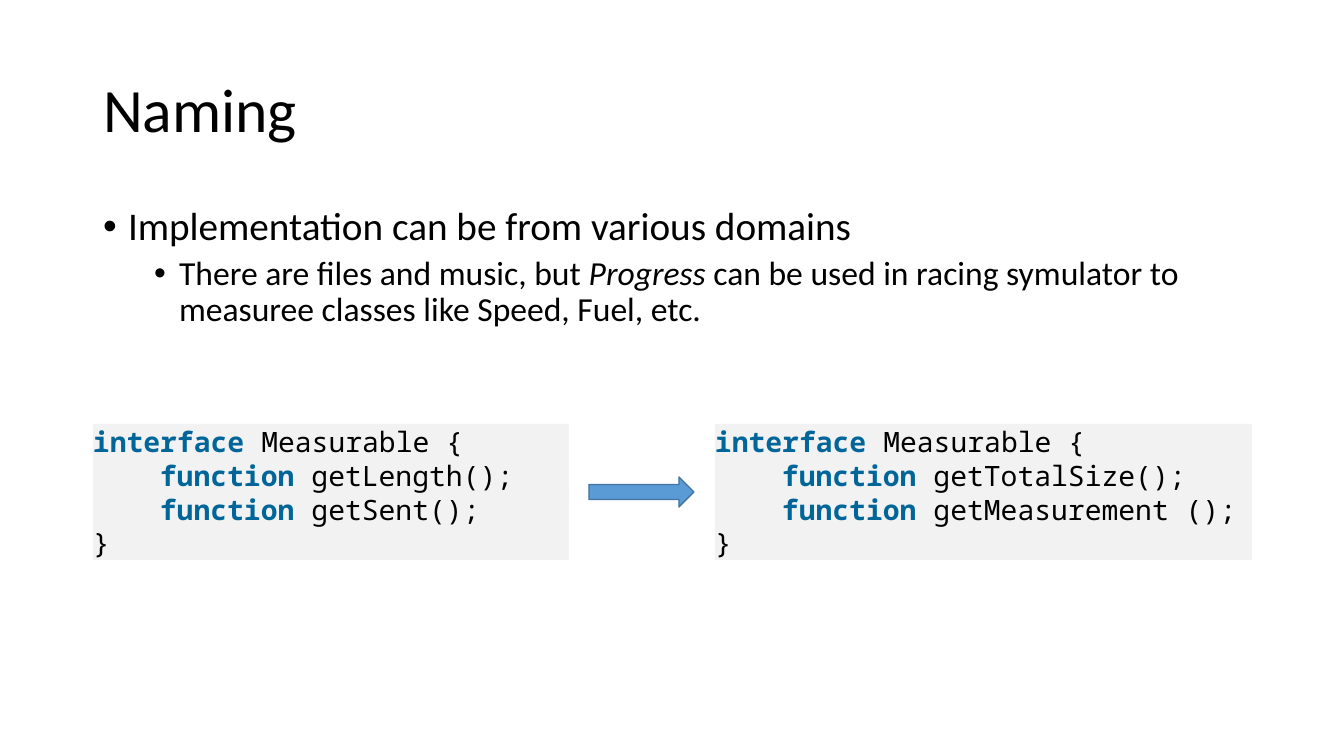
from lxml import etree
from pptx import Presentation
from pptx.dml.color import RGBColor
from pptx.enum.shapes import MSO_SHAPE
from pptx.enum.text import MSO_ANCHOR, MSO_AUTO_SIZE, PP_ALIGN
from pptx.oxml.ns import qn
from pptx.util import Pt

RECTANGLE, RIGHT_ARROW = MSO_SHAPE.RECTANGLE, MSO_SHAPE.RIGHT_ARROW
TOP, MIDDLE = MSO_ANCHOR.TOP, MSO_ANCHOR.MIDDLE
LEFT, NO_AUTOFIT = PP_ALIGN.LEFT, MSO_AUTO_SIZE.NONE
EMU_PER_PX = 914400 / 100.8
TEXT_FONT, CODE_FONT = "Calibri", "Noto Sans Mono"
COLOURS = {
    "text": "000000",
    "keyword": "006699",
    "code_box": "F2F2F2",
    "arrow": "5B9BD5",
    "arrow_line": "43739E",
}


def px(length):
    return round(length * EMU_PER_PX)


def add_run(paragraph, text, size, font, colour="text", bold=False, italic=False):
    run = paragraph.add_run()
    run.text = text
    run.font.name = font
    run.font.size = Pt(size)
    run.font.bold = bold
    run.font.italic = italic
    run.font.color.rgb = RGBColor.from_string(COLOURS[colour])


presentation = Presentation()
presentation.slide_width, presentation.slide_height = px(1344), px(756)
slide = presentation.slides.add_slide(presentation.slide_layouts[1])
title, body = slide.shapes.title, slide.placeholders[1]

# Title and list placeholders
for placeholder, top, height, anchor in ((title, 40, 146, MIDDLE), (body, 202, 480, TOP)):
    placeholder.left, placeholder.top = px(93), px(top)
    placeholder.width, placeholder.height = px(1159), px(height)
    placeholder.text_frame.vertical_anchor = anchor
    placeholder.text_frame.auto_size = NO_AUTOFIT
    placeholder.text_frame.word_wrap = True

heading = title.text_frame.paragraphs[0]
heading.alignment = LEFT
heading.line_spacing = 0.9
add_run(heading, "Naming", 44, TEXT_FONT)

# Each item: level, size, space before, left margin, (text, italic) runs
list_items = [
    (0, 28, 10, 25, [("Implementation can be from various domains", False)]),
    (1, 24, 5, 76, [
        ("There are files and music, but ", False),
        ("Progress ", True),
        ("can be used in racing symulator to measuree classes like Speed, Fuel, etc.", False),
    ]),
]
for index, (level, size, space_before, margin, runs) in enumerate(list_items):
    paragraph = body.text_frame.paragraphs[0] if index == 0 else body.text_frame.add_paragraph()
    paragraph.level = level
    paragraph.line_spacing = 0.9
    paragraph.space_before = Pt(space_before)
    properties = paragraph._p.get_or_add_pPr()
    properties.set("marL", str(px(margin)))
    properties.set("indent", str(px(-25)))
    etree.SubElement(properties, qn("a:buFont")).set("typeface", "Arial")
    etree.SubElement(properties, qn("a:buChar")).set("char", "•")
    for text, italic in runs:
        add_run(paragraph, text, size, TEXT_FONT, italic=italic)

# Code before and after renaming
code_boxes = [
    (93, 476, ["getLength();", "getSent();"]),
    (715, 537, ["getTotalSize();", "getMeasurement ();"]),
]
for left, width, methods in code_boxes:
    box = slide.shapes.add_shape(RECTANGLE, px(left), px(424), px(width), px(136))
    box.shadow.inherit = False
    box.fill.solid()
    box.fill.fore_color.rgb = RGBColor.from_string(COLOURS["code_box"])
    box.line.fill.background()
    frame = box.text_frame
    frame.margin_left = frame.margin_top = frame.margin_right = frame.margin_bottom = 0
    frame.vertical_anchor = MIDDLE
    frame.word_wrap = True
    code_lines = [(0, "interface ", "Measurable {")]
    code_lines += [(67, "function ", method) for method in methods]
    code_lines.append((0, "", "}"))
    for index, (indent, keyword, code) in enumerate(code_lines):
        paragraph = frame.paragraphs[0] if index == 0 else frame.add_paragraph()
        paragraph.alignment = LEFT
        paragraph.line_spacing = Pt(24)
        paragraph._p.get_or_add_pPr().set("marL", str(px(indent)))
        if keyword:
            add_run(paragraph, keyword, 20, CODE_FONT, "keyword", bold=True)
        add_run(paragraph, code, 20, CODE_FONT)

arrow = slide.shapes.add_shape(RIGHT_ARROW, px(589), px(477), px(105), px(30))
arrow.shadow.inherit = False
arrow.fill.solid()
arrow.fill.fore_color.rgb = RGBColor.from_string(COLOURS["arrow"])
arrow.line.color.rgb = RGBColor.from_string(COLOURS["arrow_line"])
arrow.line.width = Pt(1)

presentation.save("out.pptx")
